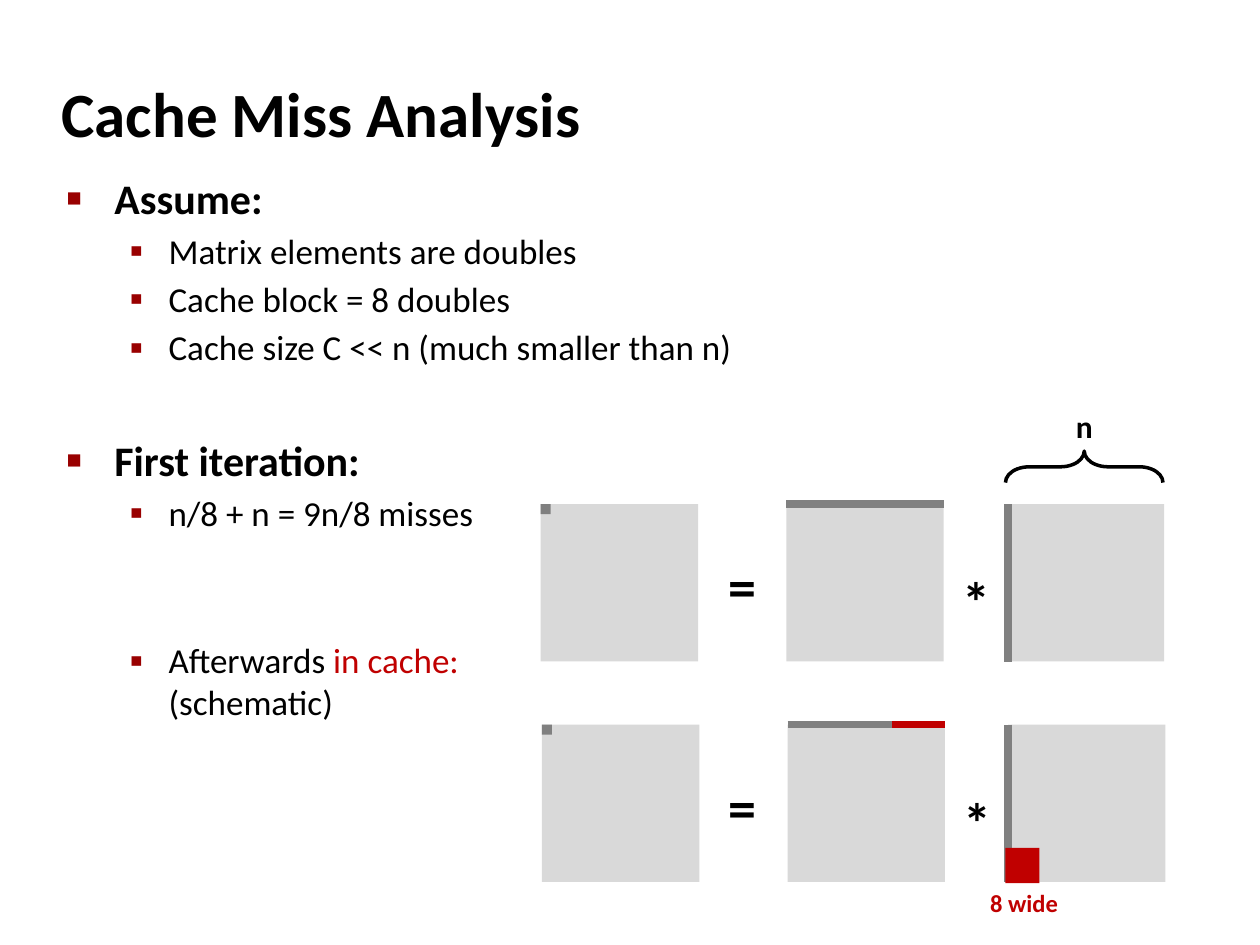
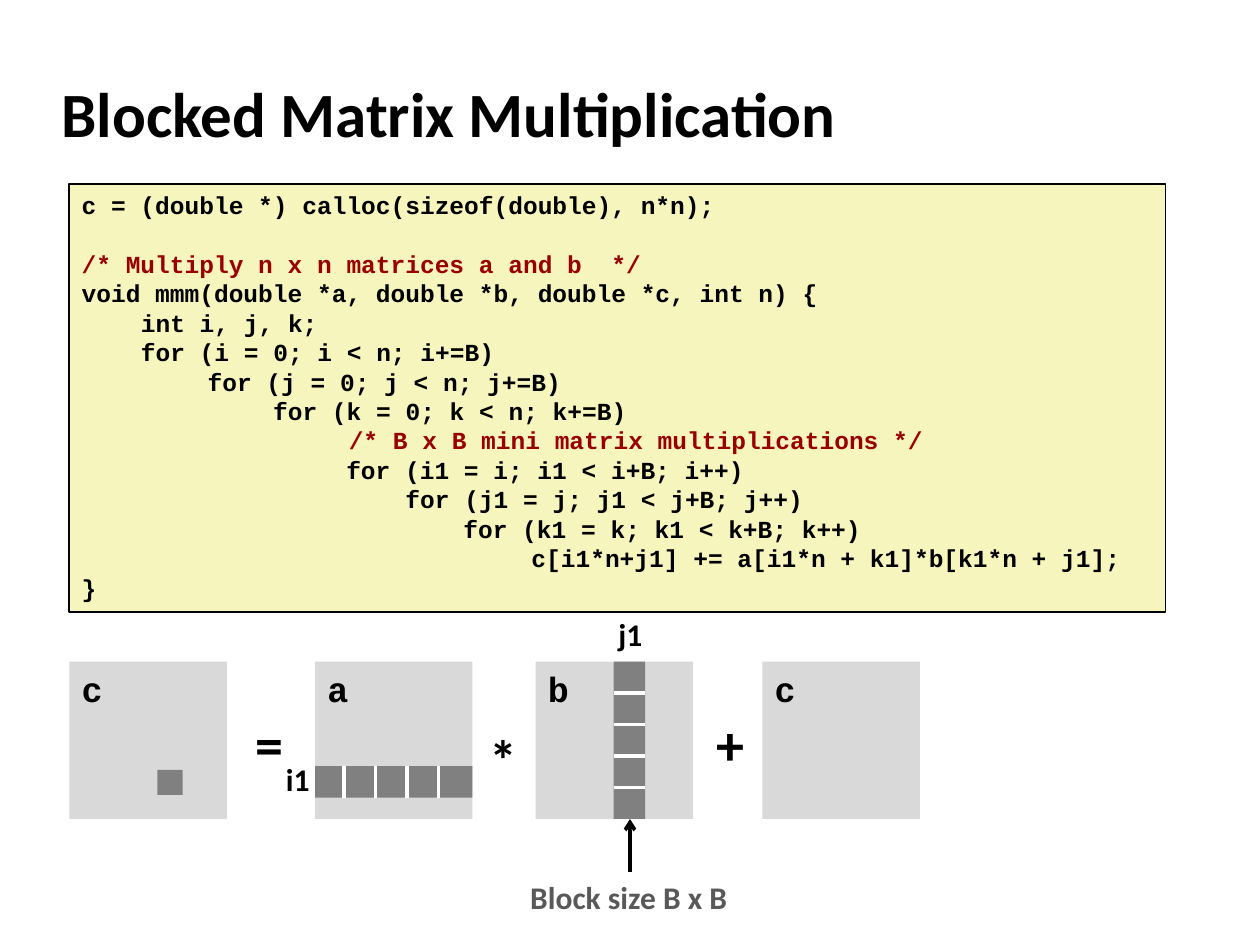
from lxml import etree
from pptx import Presentation
from pptx.dml.color import RGBColor
from pptx.enum.shapes import MSO_CONNECTOR, MSO_SHAPE
from pptx.enum.text import MSO_ANCHOR, PP_ALIGN
from pptx.oxml.ns import qn
from pptx.util import Inches, Pt

BLACK, WHITE = "000000", "FFFFFF"
LIGHT, GREY, CAPTION = "D9D9D9", "808080", "595959"
RED, DARK_RED, CREAM = "C00000", "990000", "F6F5BD"
SANS, MONO = "Calibri", "Courier New"
SIDE = 1.25
BLOCK = SIDE / 5
CODE_LEADING = 16.8

# bullet, bullet size in %, left margin, hanging indent, font size, bold
LEVELS = [
    ("■", 60, 0.38, 0.38, 24, True),
    ("▪", 110, 0.81, 0.31, 20, False),
]

# level, space before in points, lines of (text, colour) runs
OUTLINE = [
    (0, 0, [[("Assume:", BLACK)]]),
    (1, 3.6, [[("Matrix elements are doubles", BLACK)]]),
    (1, 3.6, [[("Cache block = 8 doubles", BLACK)]]),
    (1, 3.6, [[("Cache size C << n (much smaller than n)", BLACK)]]),
    (0, 38.3, [[("First iteration:", BLACK)]]),
    (1, 3.6, [[("n/8 + n = 9n/8 misses", BLACK)]]),
    (1, 60.2, [[("Afterwards ", BLACK), ("in cache:", RED)],
               [("(schematic)", BLACK)]]),
]

# indent in inches, blank lines above, text
CODE = [
    (0, 0, "c = (double *) calloc(sizeof(double), n*n);"),
    (0, 1, "/* Multiply n x n matrices a and b  */"),
    (0, 0, "void mmm(double *a, double *b, double *c, int n) {"),
    (0.47, 0, "int i, j, k;"),
    (0.47, 0, "for (i = 0; i < n; i+=B)"),
    (1, 0, "for (j = 0; j < n; j+=B)"),
    (1.52, 0, "for (k = 0; k < n; k+=B)"),
    (2.12, 0, "/* B x B mini matrix multiplications */"),
    (2.1, 0, "for (i1 = i; i1 < i+B; i++)"),
    (2.57, 0, "for (j1 = j; j1 < j+B; j++)"),
    (3.03, 0, "for (k1 = k; k1 < k+B; k++)"),
    (3.57, 0, "c[i1*n+j1] += a[i1*n + k1]*b[k1*n + j1];"),
    (0, 0, "}"),
]


def rgb(color):
    return RGBColor.from_string(color)


def style(r, size, color=BLACK, font=SANS, bold=True):
    r.font.size = Pt(size)
    r.font.name = font
    r.font.bold = bold
    r.font.color.rgb = rgb(color)


def add_text_box(s, left, top, width, height, wrap=False):
    sp = s.shapes.add_textbox(Inches(left), Inches(top),
                              Inches(width), Inches(height))
    sp.text_frame.word_wrap = wrap
    return sp.text_frame


def add_label(s, text, left, top, width, height, size=18, color=BLACK):
    p = add_text_box(s, left, top, width, height).paragraphs[0]
    p.text = text
    style(p.runs[0], size, color)


def add_operator(s, text, left, top):
    add_label(s, text, left, top, 0.43, 0.64, 32)


def add_title(s, text):
    tf = add_text_box(s, 0.39, 0.48, 8.3, 0.83, True)
    tf.vertical_anchor = MSO_ANCHOR.MIDDLE
    tf.text = text
    style(tf.paragraphs[0].runs[0], 36)


def add_rect(s, left, top, width, height, fill):
    sp = s.shapes.add_shape(MSO_SHAPE.RECTANGLE, Inches(left), Inches(top),
                            Inches(width), Inches(height))
    sp.shadow.inherit = False
    sp.fill.solid()
    sp.fill.fore_color.rgb = rgb(fill)
    sp.line.fill.background()
    return sp


def add_matrix(s, left, top, name=None):
    sp = add_rect(s, left, top, SIDE, SIDE, LIGHT)
    if name:
        tf = sp.text_frame
        tf.vertical_anchor = MSO_ANCHOR.TOP
        tf.text = name
        tf.paragraphs[0].alignment = PP_ALIGN.LEFT
        style(tf.paragraphs[0].runs[0], 20, font=MONO)


def add_line(s, x1, y1, x2, y2, color, width, arrow=False):
    line = s.shapes.add_connector(MSO_CONNECTOR.STRAIGHT, Inches(x1),
                                  Inches(y1), Inches(x2), Inches(y2))
    line.line.color.rgb = rgb(color)
    line.line.width = Pt(width)
    etree.SubElement(line._element.spPr, qn("a:effectLst"))
    if arrow:
        etree.SubElement(line.line._get_or_add_ln(), qn("a:tailEnd"),
                         type="arrow")


def add_brace(s, left, top, width, height):
    """Brace pointing up, given by the area it covers once turned."""
    sp = s.shapes.add_shape(
        MSO_SHAPE.LEFT_BRACE,
        Inches(left + (width - height) / 2), Inches(top + (height - width) / 2),
        Inches(height), Inches(width))
    sp.rotation = 90
    sp.adjustments[0] = 0.75
    sp.shadow.inherit = False
    sp.fill.background()
    sp.line.color.rgb = rgb(BLACK)
    sp.line.width = Pt(2)


def set_indent(p, margin, hanging=0):
    pPr = p._p.get_or_add_pPr()
    pPr.set("marL", str(Inches(margin)))
    pPr.set("indent", str(-Inches(hanging)))
    return pPr


def set_bullet(p, char, percent, margin, hanging):
    pPr = set_indent(p, margin, hanging)
    color = etree.SubElement(pPr, qn("a:buClr"))
    etree.SubElement(color, qn("a:srgbClr"), val=DARK_RED)
    etree.SubElement(pPr, qn("a:buSzPct"), val=str(percent * 1000))
    etree.SubElement(pPr, qn("a:buFont"), typeface="Arial")
    etree.SubElement(pPr, qn("a:buChar"), char=char)


def add_paragraph(tf, index):
    return tf.add_paragraph() if index else tf.paragraphs[0]


def add_outline(s):
    tf = add_text_box(s, 0.43, 1.32, 8.64, 3.34, True)
    for i, (level, before, lines) in enumerate(OUTLINE):
        p = add_paragraph(tf, i)
        char, percent, margin, hanging, size, bold = LEVELS[level]
        p.level = level
        p.space_before = Pt(before)
        set_bullet(p, char, percent, margin, hanging)
        for n, line in enumerate(lines):
            if n:
                p.add_line_break()
            for text, color in line:
                r = p.add_run()
                r.text = text
                style(r, size, color, bold=bold)


def add_code(s):
    sp = add_rect(s, 0.55, 1.46, 8.7, 3.4, CREAM)
    sp.line.color.rgb = rgb(BLACK)
    sp.line.width = Pt(1)
    tf = sp.text_frame
    tf.word_wrap = True
    tf.vertical_anchor = MSO_ANCHOR.TOP
    for i, (indent, blank_lines, text) in enumerate(CODE):
        p = add_paragraph(tf, i)
        p.text = text
        p.alignment = PP_ALIGN.LEFT
        p.line_spacing = Pt(CODE_LEADING)
        p.space_before = Pt(blank_lines * CODE_LEADING)
        set_indent(p, indent)
        color = DARK_RED if text.startswith("/*") else BLACK
        style(p.runs[0], 14, color, MONO)


def add_row_times_column(s, left, top):
    """Element of the result = first row * first column."""
    row, column = left + 1.95, left + 3.7
    for x in (left, row, column):
        add_matrix(s, x, top)
    add_rect(s, left, top, 0.08, 0.08, GREY)
    add_line(s, row, top, row + SIDE, top, GREY, 4.5)
    add_line(s, 8, top, 8, top + SIDE, GREY, 4.5)
    add_operator(s, "=", 5.68, top + 0.33)
    add_operator(s, "*", left + 3.25, top + 0.45)


def build_cache_miss(s):
    add_title(s, "Cache Miss Analysis")
    add_outline(s)
    add_row_times_column(s, 4.29, 4)
    add_brace(s, 7.98, 3.58, SIDE, 0.25)
    add_label(s, "n", 8.44, 3.18, 0.34, 0.4)
    add_row_times_column(s, 4.3, 5.75)
    add_line(s, 7.08, 5.75, 7.5, 5.75, RED, 4.5)
    add_rect(s, 7.98, 6.73, 0.27, 0.28, RED)
    add_label(s, "8 wide", 7.76, 7, 0.74, 0.34, 14, RED)


def build_blocked(s):
    add_title(s, "Blocked Matrix Multiplication")
    add_code(s)
    top, a_left, b_left = 5.25, 2.5, 4.25
    for name, left in (("c", 0.55), ("a", a_left), ("b", b_left), ("c", 6.05)):
        add_matrix(s, left, top, name)
    for sign, left, sign_top in (("=", 1.93, 5.58), ("*", 3.79, 5.7),
                                 ("+", 5.59, 5.58)):
        add_operator(s, sign, left, sign_top)
    add_rect(s, 1.25, 6.11, 0.2, 0.2, GREY)

    row_top, column_left = 6.08, 4.87
    add_rect(s, a_left, row_top, SIDE, BLOCK, GREY)
    add_rect(s, column_left, top, BLOCK, SIDE, GREY)
    for n in range(1, 5):
        x, y = a_left - 0.02 + n * BLOCK, top + n * BLOCK
        add_line(s, x, row_top, x, row_top + BLOCK, WHITE, 2)
        add_line(s, column_left, y, column_left + BLOCK, y, WHITE, 2)

    add_label(s, "i1", 2.17, 5.98, 0.39, 0.4)
    add_label(s, "j1", 4.81, 4.83, 0.39, 0.4)
    add_label(s, "Block size B x B", 4.11, 6.92, 1.78, 0.4, color=CAPTION)
    add_line(s, 5, 6.92, 5, top + SIDE, BLACK, 2, arrow=True)


def main():
    prs = Presentation()
    prs.slide_width, prs.slide_height = Inches(10), Inches(7.5)
    for build in (build_cache_miss, build_blocked):
        build(prs.slides.add_slide(prs.slide_layouts[6]))
    prs.save("out.pptx")


if __name__ == "__main__":
    main()
